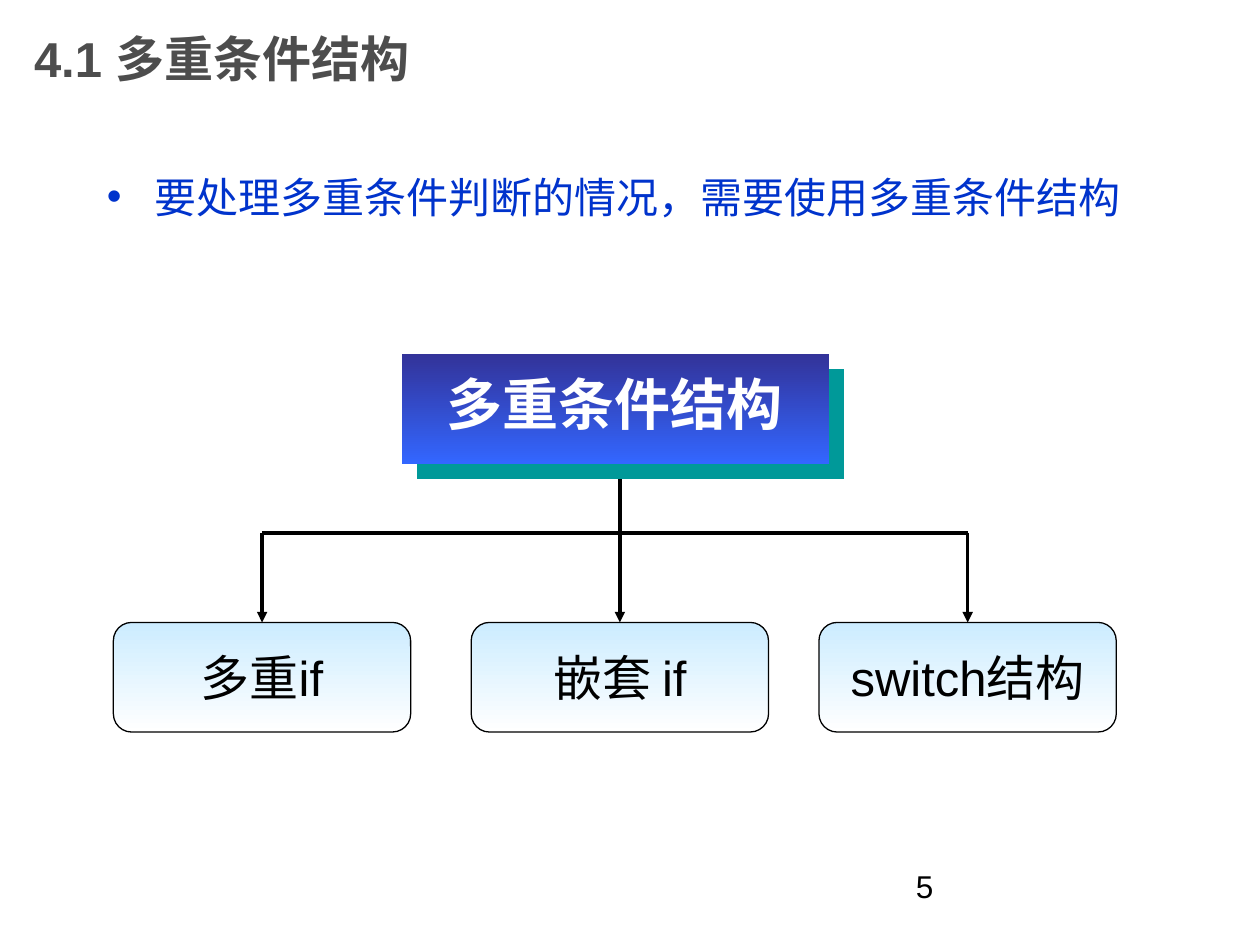
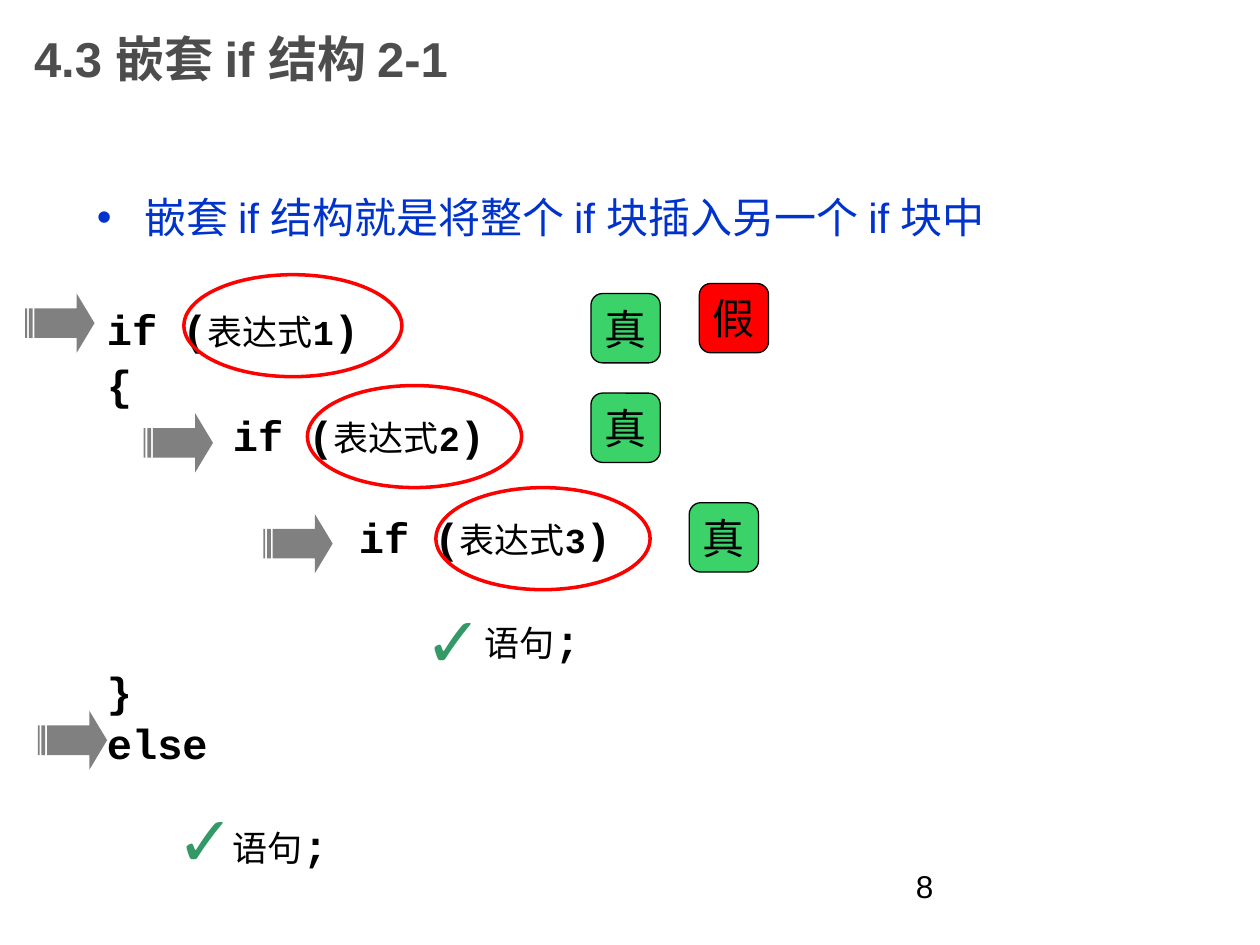
from lxml.etree import SubElement
from pptx import Presentation
from pptx.dml.color import RGBColor
from pptx.enum.shapes import MSO_CONNECTOR, MSO_SHAPE
from pptx.enum.text import MSO_ANCHOR, PP_ALIGN
from pptx.oxml import parse_xml
from pptx.oxml.ns import nsdecls, qn
from pptx.util import Inches, Pt

BLACK, WHITE, BLUE, GREY = "000000", "FFFFFF", "0033CC", "4D4D4D"
GREEN, RED, CHECK, ARROW = "3CD26A", "FF0000", "339966", "808080"
TEAL = "009999"
BODY, CODE = "Arial", "Courier New"
NODE = (2.36, 0.87)
SHADE = ('<a:effectLst %s><a:outerShdw dist="%d" dir="2700000" algn="ctr" rotWithShape="0">'
         '<a:srgbClr val="%s"/></a:outerShdw></a:effectLst>')


def color(code):
    """Turn a hex string into a colour."""
    return RGBColor.from_string(code)


def style(item, **values):
    """Set each given attribute on the item."""
    for key, value in values.items():
        setattr(item, key, value)


def place(box):
    """Turn left, top, width and height in inches into lengths."""
    return [Inches(n) for n in box]


def shade(dist, code):
    """Build a shadow that falls down and right by a distance in points."""
    return parse_xml(SHADE % (nsdecls("a"), Pt(dist), code))


def write(para, text, size, code=BLACK, bold=False, face=BODY):
    """Add one styled run to a paragraph."""
    run = para.add_run()
    run.text = text
    style(run.font, name=face, size=Pt(size), bold=bold)
    run.font.color.rgb = color(code)
    return run


def label(parent, box, text, size, code=BLACK, bold=False, align=PP_ALIGN.LEFT):
    """Add a wrapped text box with one run and return that run."""
    frame = parent.add_textbox(*place(box)).text_frame
    frame.word_wrap = True
    frame.paragraphs[0].alignment = align
    return write(frame.paragraphs[0], text, size, code, bold)


def form(parent, kind, box, fill=None, line=None, width=0.75):
    """Add a preset shape; a pair of fill colours makes a gradient."""
    shape = parent.add_shape(kind, *place(box))
    shape.shadow.inherit = False
    if fill is None:
        shape.fill.background()
    elif isinstance(fill, tuple):
        shape.fill.gradient()
        shape.fill.gradient_angle = 270
        for stop, code in zip(shape.fill.gradient_stops, fill):
            stop.color.rgb = color(code)
    else:
        shape.fill.solid()
        shape.fill.fore_color.rgb = color(fill)
    if line:
        shape.line.color.rgb = color(line)
        shape.line.width = Pt(width)
    else:
        shape.line.fill.background()
    return shape


def badge(slide, box, text, size, fill):
    """Add a rounded box with centred text."""
    shape = form(slide.shapes, MSO_SHAPE.ROUNDED_RECTANGLE, box, fill, BLACK)
    style(shape.text_frame, word_wrap=False, vertical_anchor=MSO_ANCHOR.MIDDLE)
    para = shape.text_frame.paragraphs[0]
    para.alignment = PP_ALIGN.CENTER
    write(para, text, size)
    return shape


def link(slide, start, end, node=None):
    """Draw a line, with an arrowhead when it ends on top of a node."""
    wire = slide.shapes.add_connector(MSO_CONNECTOR.STRAIGHT, *place(start + end))
    wire.line.color.rgb = color(BLACK)
    wire.line.width = Pt(2)
    if node:
        wire.end_connect(node, 0)
        SubElement(wire.line._get_or_add_ln(), qn("a:tailEnd"), type="triangle")
    SubElement(wire._element.spPr, qn("a:effectLst"))


def base(deck, title, point, box, page):
    """Add a slide with its title, bullet point and page number."""
    slide = deck.slides.add_slide(deck.slide_layouts[5])
    head = slide.shapes.title
    style(head, **dict(zip(("left", "top", "width", "height"), place((0.17, 0, 7.5, 0.92)))))
    style(head.text_frame, vertical_anchor=MSO_ANCHOR.MIDDLE, word_wrap=True)
    para = head.text_frame.paragraphs[0]
    para.alignment = PP_ALIGN.LEFT
    write(para, title, 28, GREY, True)

    frame = slide.shapes.add_textbox(*place(box)).text_frame
    frame.word_wrap = True
    para = frame.paragraphs[0]
    para.space_before = Pt(6)
    write(para, point, 24, BLUE)
    props = para._p.get_or_add_pPr()
    style_in = {"marL": Inches(0.38), "indent": Inches(-0.38)}
    for key, value in style_in.items():
        props.set(key, str(value))
    tint = SubElement(props, qn("a:buClr"))
    SubElement(tint, qn("a:srgbClr"), val=BLUE)
    SubElement(props, qn("a:buFont"), typeface=BODY)
    SubElement(props, qn("a:buChar"), char="•")

    label(slide.shapes, (7.17, 6.83, 2.33, 0.52), page, 18)
    return slide


def banner(slide, left, top):
    """Add the root box of the tree with its shadowed text."""
    group = slide.shapes.add_group_shape().shapes
    block = form(group, MSO_SHAPE.RECTANGLE, (left, top, 3.39, 0.87), ("333399", "3366FF"))
    props = block._element.spPr
    props.replace(props.find(qn("a:effectLst")), shade(12.1, TEAL))
    run = label(group, (left + 0.23, top + 0.07, 2.91, 0.64), "多重条件结构", 32,
                WHITE, True, PP_ALIGN.CENTER)
    run.font._element.find(qn("a:solidFill")).addnext(shade(3, BLACK))


def tree(slide, top):
    """Draw the root, its three branches and the lines between them."""
    wide, tall = NODE
    bar, row = top + 1.42, top + 2.13
    lefts = (0.9, 3.74, 6.5)
    mids = [left + wide / 2 for left in lefts]
    link(slide, (mids[0], bar), (mids[-1], bar))
    link(slide, (mids[1], top + 0.87), (mids[1], bar))
    for left, mid, text in zip(lefts, mids, ("多重if", "嵌套 if", "switch结构")):
        node = badge(slide, (left, row, wide, tall), text, 28, ("CCECFF", WHITE))
        link(slide, (mid, bar), (mid, row), node)
    banner(slide, 3.19, top)


def test(mark):
    """Return the pieces of one if line."""
    return [("if (", 24, True), ("表达式", 20, False), (mark, 20, True), (")", 24, True)]


def code(slide, box):
    """Write the nested code, indented by whole inches."""
    then = [("语句", 20, False), (";", 24, True)]
    rows = [(0, 15, test("1")), (0, 15, [("{", 24, True)]), (1, 15, test("2")),
            (2, 44, test("3")), (3, 44, then), (0, 15, [("}", 24, True)]),
            (0, 15, [("else", 24, True)]), (1, 44, then)]
    frame = slide.shapes.add_textbox(*place(box)).text_frame
    frame.word_wrap = True
    for at, (depth, gap, parts) in enumerate(rows):
        para = frame.add_paragraph() if at else frame.paragraphs[0]
        style(para, space_before=Pt(gap), line_spacing=0.5 if at else 1.0)
        para._p.get_or_add_pPr().set("marL", str(Inches(depth)))
        for text, size, bold in parts:
            write(para, text, size, BLACK, bold, CODE)


def marks(slide):
    """Add the badges, rings, arrows and checks around the code."""
    for left, top, text, fill in ((4.69, 2.33, "真", GREEN), (4.69, 3.12, "真", GREEN),
                                  (5.47, 3.99, "真", GREEN), (5.55, 2.25, "假", RED)):
        badge(slide, (left, top, 0.55, 0.55), text, 24, fill)
    for left, top, wide in ((1.46, 2.18, 1.73), (2.44, 3.06, 1.7), (3.46, 3.87, 1.7)):
        form(slide.shapes, MSO_SHAPE.OVAL, (left, top, wide, 0.81), None, RED, 2)
    for left, top in ((0.2, 2.33), (1.14, 3.28), (2.09, 4.08), (0.3, 5.64)):
        arrow = form(slide.shapes, MSO_SHAPE.STRIPED_RIGHT_ARROW, (left, top, 0.55, 0.47), ARROW)
        arrow.adjustments[1] = 0.3
    for left, top in ((3.27, 4.69), (1.3, 6.27)):
        label(slide.shapes, (left, top, 0.63, 0.77), "✓", 40, CHECK, True)


def main():
    """Build both slides and save them."""
    deck = Presentation()
    style(deck, slide_width=Inches(10), slide_height=Inches(7.5))
    slide = base(deck, "4.1 多重条件结构", "要处理多重条件判断的情况，需要使用多重条件结构",
                 (0.75, 1.31, 9, 1.65), "5")
    tree(slide, 2.81)
    slide = base(deck, "4.3 嵌套 if 结构 2-1", "嵌套 if 结构就是将整个 if 块插入另一个 if 块中",
                 (0.67, 1.47, 9.33, 1.26), "8")
    code(slide, (0.75, 2.36, 8.74, 4.59))
    marks(slide)
    deck.save("out.pptx")


if __name__ == "__main__":
    main()
